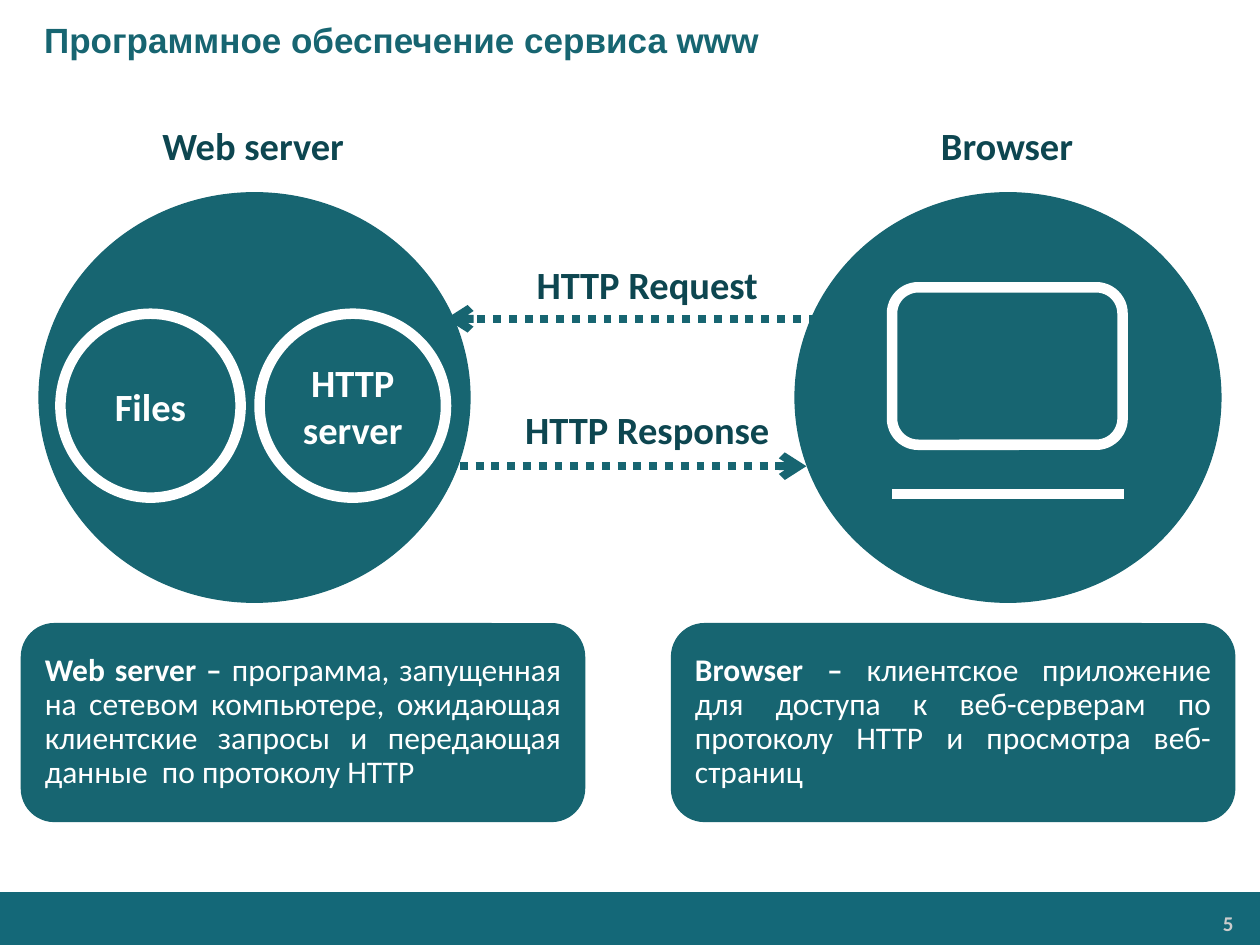
from lxml.etree import SubElement
from pptx import Presentation
from pptx.dml.color import RGBColor
from pptx.enum.dml import MSO_LINE
from pptx.enum.shapes import MSO_CONNECTOR, MSO_SHAPE
from pptx.enum.text import MSO_ANCHOR, PP_ALIGN
from pptx.oxml.ns import qn
from pptx.util import Inches, Pt

TEAL, DARK, WHITE = "176571", "0D4650", "FFFFFF"


def color(code):
    return RGBColor.from_string(code)


def write(frame, *parts, size=22, font="Calibri", fill=WHITE, bold=True,
          align=PP_ALIGN.LEFT, anchor=MSO_ANCHOR.TOP, wrap=True,
          inset=(0.1, 0.05), space=None):
    """Write one paragraph; only its first part is bold."""
    frame.word_wrap = wrap
    frame.vertical_anchor = anchor
    frame.margin_left = frame.margin_right = Inches(inset[0])
    frame.margin_top = frame.margin_bottom = Inches(inset[1])
    para = frame.paragraphs[0]
    para.alignment = align
    if space:
        para.line_spacing = space
    for i, part in enumerate(parts):
        run = para.add_run()
        run.text = part
        run.font.size = Pt(size)
        run.font.name = font
        run.font.bold = bold and i == 0
        run.font.color.rgb = color(fill)
    return para


class Deck:
    def __init__(self):
        self.prs = Presentation()
        self.prs.slide_width, self.prs.slide_height = Inches(10), Inches(7.5)
        self.slide = self.prs.slides.add_slide(self.prs.slide_layouts[5])
        self.shapes = self.slide.shapes

    def title(self, text):
        box = self.shapes.title
        box.left, box.top = Inches(0), Inches(0)
        box.width, box.height = Inches(10), Inches(0.63)
        para = write(box.text_frame, text, size=20, font="Arial", fill=TEAL,
                     anchor=MSO_ANCHOR.MIDDLE)
        para._p.get_or_add_pPr().set("marL", str(Inches(0.25)))

    def shape(self, kind, x, y, w, h, fill=TEAL, line=TEAL, width=0.75):
        item = self.shapes.add_shape(kind, Inches(x), Inches(y), Inches(w), Inches(h))
        item.shadow.inherit = False
        if fill:
            item.fill.solid()
            item.fill.fore_color.rgb = color(fill)
        else:
            item.fill.background()
        if line:
            item.line.color.rgb = color(line)
            item.line.width = Pt(width)
        else:
            item.line.fill.background()
        return item

    def ring(self, text, x, w):
        item = self.shape(MSO_SHAPE.OVAL, x, 2.49, w, 1.46, line=WHITE, width=6)
        write(item.text_frame, text, align=PP_ALIGN.CENTER, anchor=MSO_ANCHOR.MIDDLE)

    def line(self, start, end, y, hue, width):
        item = self.shapes.add_connector(MSO_CONNECTOR.STRAIGHT, Inches(start),
                                         Inches(y), Inches(end), Inches(y))
        item.line.color.rgb = color(hue)
        item.line.width = Pt(width)
        SubElement(item._element.spPr, qn("a:effectLst"))
        return item

    def arrow(self, start, end, y):
        item = self.line(start, end, y, TEAL, 4.5)
        item.line.dash_style = MSO_LINE.ROUND_DOT
        SubElement(item.line._get_or_add_ln(), qn("a:tailEnd"), type="arrow")

    def text(self, text, x, y, w, h=0.47, **style):
        box = self.shapes.add_textbox(Inches(x), Inches(y), Inches(w), Inches(h))
        write(box.text_frame, text, **style)

    def card(self, x, term, body):
        item = self.shape(MSO_SHAPE.FLOWCHART_ALTERNATE_PROCESS, x, 4.95, 4.47, 1.57)
        write(item.text_frame, term, body, size=18, align=PP_ALIGN.JUSTIFY,
              anchor=MSO_ANCHOR.MIDDLE, inset=(0.11, 0.11), space=0.9)


def main():
    deck = Deck()

    # Footer and title
    deck.shape(MSO_SHAPE.RECTANGLE, 0, 7.08, 10, 0.42, fill="146878", line=None)
    deck.text("5", 8.23, 7.19, 1.63, 0.28, size=12, fill="CCCCCC",
              align=PP_ALIGN.RIGHT, inset=(0.07, 0.04))
    deck.title("Программное обеспечение сервиса www")

    # Server and browser circles
    for x, w in ((0.31, 3.42), (6.31, 3.38)):
        deck.shape(MSO_SHAPE.OVAL, x, 1.53, w, 3.25)

    # Computer icon
    deck.shape(MSO_SHAPE.ROUNDED_RECTANGLE, 7.08, 2.28, 1.83, 1.25,
               fill=None, line=WHITE, width=6)
    deck.line(7.08, 8.92, 3.92, WHITE, 6)

    # Parts of the server
    deck.ring("HTTP server", 2.06, 1.48)
    deck.ring("Files", 0.48, 1.43)

    # Exchange between them
    deck.arrow(6.48, 3.54, 2.53)
    deck.arrow(3.65, 6.4, 3.7)

    # Labels
    for text, x, y, w in (("Browser", 7.37, 0.92, 1.26),
                          ("Web server", 1.19, 0.92, 1.66),
                          ("HTTP Request", 4.16, 2.02, 1.98),
                          ("HTTP Response", 4.07, 3.17, 2.16)):
        deck.text(text, x, y, w, fill=DARK, wrap=False)

    # Definitions
    deck.card(0.17, "Web server – ",
              "программа, запущенная на сетевом компьютере, ожидающая "
              "клиентские запросы и передающая данные  по протоколу HTTP")
    deck.card(5.33, "Browser – ",
              "клиентское приложение для доступа к веб-серверам по "
              "протоколу HTTP и просмотра веб-страниц")

    deck.prs.save("out.pptx")


if __name__ == "__main__":
    main()
